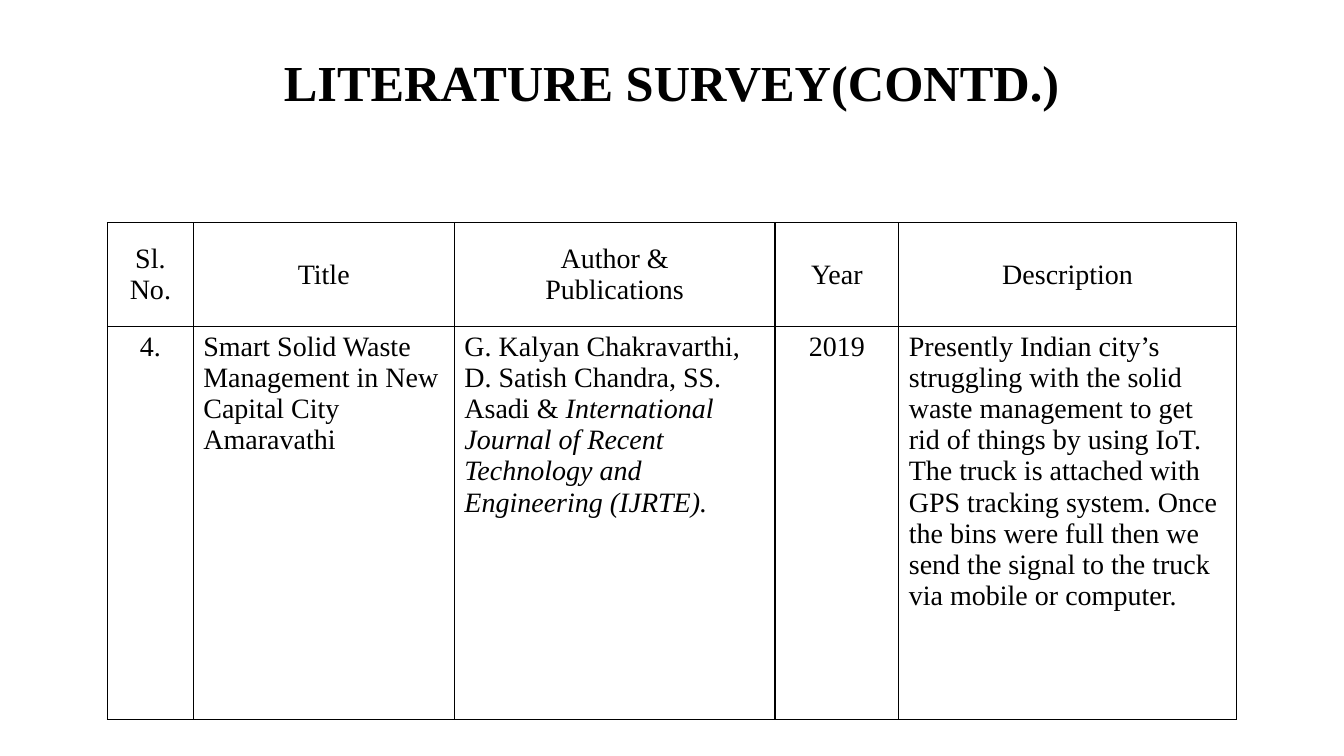
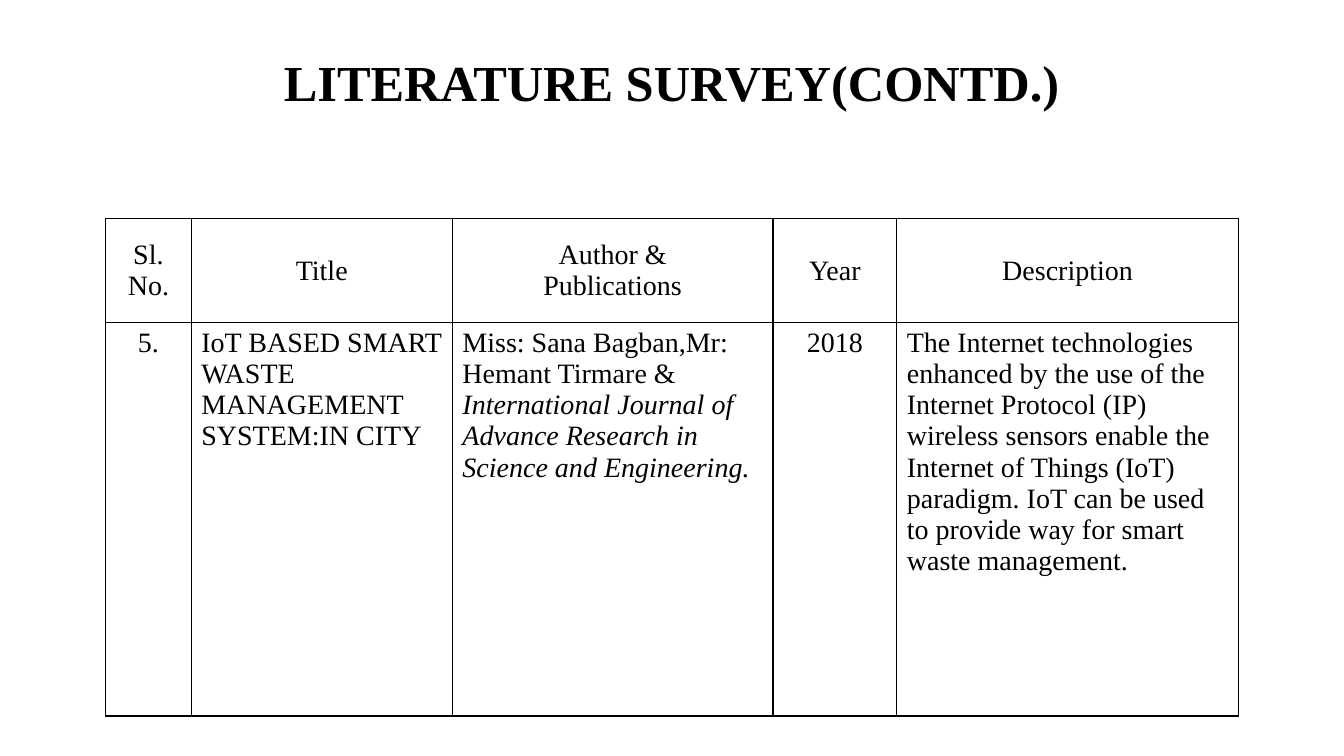
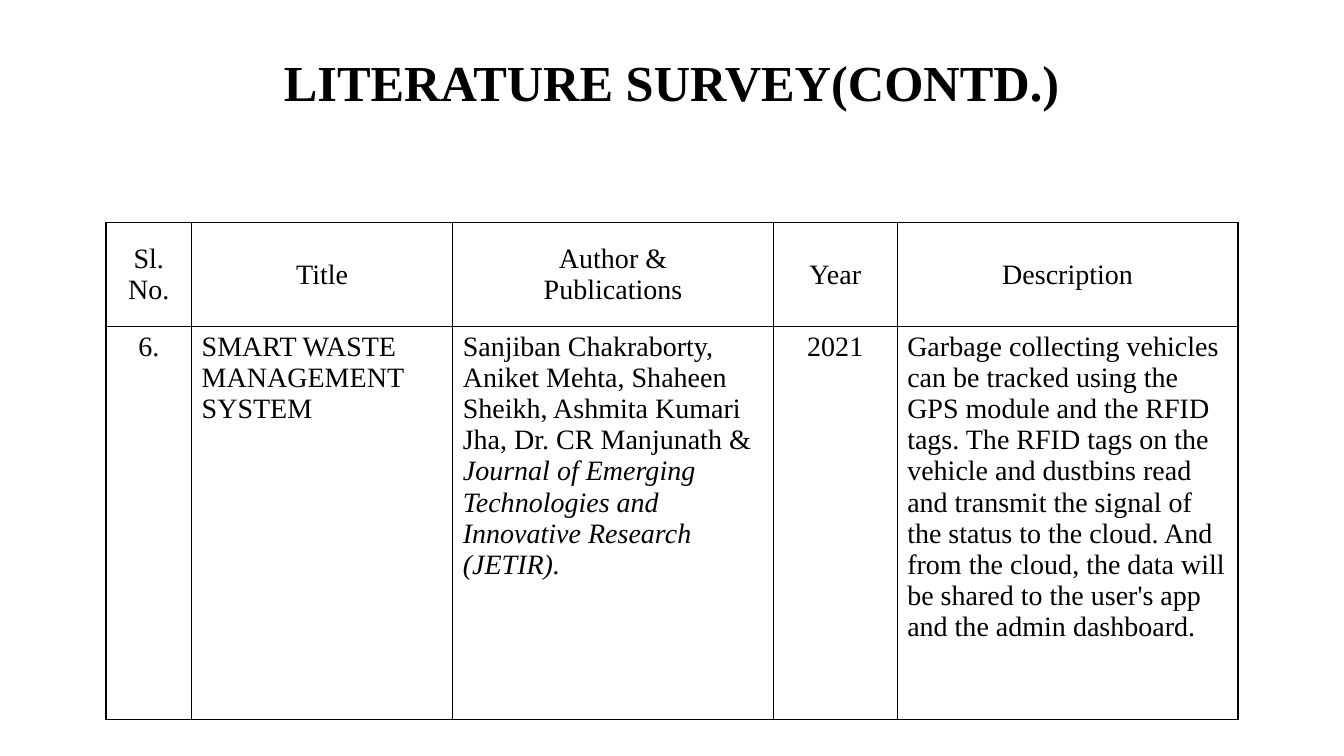
from lxml.etree import SubElement
from pptx import Presentation
from pptx.dml.color import RGBColor
from pptx.enum.text import MSO_ANCHOR, PP_ALIGN
from pptx.oxml.ns import qn
from pptx.util import Cm, Pt

FONT = "Times New Roman"
INK = "000000"
SLIDE_W, SLIDE_H = 33.87, 19.05
TITLE = "LITERATURE SURVEY(CONTD.)"
HEADERS = [["Sl. No."], ["Title"], ["Author &", "Publications"], ["Year"], ["Description"]]
COLUMNS = [2.16, 6.58, 8.08, 3.12]
ROWS = [2.62, 9.91]
CENTRED = (0, 3)

# Each entry is a list of paragraphs; a tuple holds upright text, then italic text.
SURVEYS = [
    dict(top=5.61, last_column=8.51, entry=[
        ["4."],
        ["Smart Solid Waste Management in New ", "Capital City Amaravathi"],
        [("G. Kalyan Chakravarthi, D. Satish Chandra, SS. Asadi & ",
          "International Journal of Recent Technology and Engineering (IJRTE).")],
        ["2019"],
        ["Presently Indian city\u2019s struggling with the solid waste management "
         "to get rid of things by using IoT.",
         "The truck is attached with GPS tracking system. Once the bins were full "
         "then we send the signal to the truck via mobile or computer."],
    ]),
    dict(top=5.51, last_column=8.61, entry=[
        ["5."],
        ["IoT BASED SMART WASTE MANAGEMENT ", "SYSTEM:IN CITY"],
        [("Miss: Sana Bagban,Mr: Hemant Tirmare & ",
          "International Journal of Advance Research in Science and Engineering.")],
        ["2018"],
        ["The Internet technologies enhanced by the use of the Internet Protocol (IP) "
         "wireless sensors enable the Internet of Things (IoT) paradigm. IoT can be "
         "used to provide way for smart waste management."],
    ]),
    dict(top=5.61, last_column=8.59, entry=[
        ["6."],
        ["SMART WASTE MANAGEMENT SYSTEM"],
        ["Sanjiban Chakraborty, Aniket Mehta, Shaheen Sheikh, Ashmita Kumari Jha, "
         "Dr. CR Manjunath & ",
         ("", "Journal of Emerging Technologies and Innovative Research (JETIR).")],
        ["2021"],
        ["Garbage collecting vehicles can be tracked using the GPS module and the RFID "
         "tags. The RFID tags on the vehicle and dustbins read and transmit the signal "
         "of the status to the cloud. And from the cloud, the data will be shared to "
         "the user's app and the admin dashboard."],
    ]),
]


def color(value):
    return RGBColor.from_string(value)


def write(tf, paragraphs, size, align, bold=False):
    for i, parts in enumerate(paragraphs):
        p = tf.paragraphs[0] if i == 0 else tf.add_paragraph()
        p.alignment = align
        p.font.name, p.font.size, p.font.bold = FONT, Pt(size), bold
        p.font.color.rgb = color(INK)
        upright, italic = parts if isinstance(parts, tuple) else (parts, "")
        if upright:
            p.add_run().text = upright
        if italic:
            r = p.add_run()
            r.text = italic
            r.font.italic = True


def add_title(s):
    tf = s.shapes.add_textbox(Cm(4.23), Cm(0.84), Cm(25.4), Cm(2.13)).text_frame
    tf.word_wrap = True
    tf.vertical_anchor = MSO_ANCHOR.BOTTOM
    write(tf, [TITLE], 36, PP_ALIGN.CENTER, bold=True)
    tf.paragraphs[0].line_spacing = 0.9


def outline(cell):
    tcPr = cell._tc.get_or_add_tcPr()
    for side in ("a:lnL", "a:lnR", "a:lnT", "a:lnB"):
        ln = SubElement(tcPr, qn(side), w=str(Pt(1)))
        SubElement(SubElement(ln, qn("a:solidFill")), qn("a:srgbClr"), val=INK)
    cell.fill.background()


def add_survey(s, top, last_column, entry):
    widths = COLUMNS + [last_column]
    total = sum(widths)
    table = s.shapes.add_table(len(ROWS), len(widths), Cm((SLIDE_W - total) / 2),
                               Cm(top), Cm(total), Cm(sum(ROWS))).table
    table.first_row = table.horz_banding = False
    for column, width in zip(table.columns, widths):
        column.width = Cm(width)
    for i, texts in enumerate((HEADERS, entry)):
        table.rows[i].height = Cm(ROWS[i])
        for j, paragraphs in enumerate(texts):
            cell = table.cell(i, j)
            outline(cell)
            cell.vertical_anchor = MSO_ANCHOR.MIDDLE if i == 0 else MSO_ANCHOR.TOP
            centred = i == 0 or j in CENTRED
            write(cell.text_frame, paragraphs, 20,
                  PP_ALIGN.CENTER if centred else PP_ALIGN.LEFT)


prs = Presentation()
prs.slide_width, prs.slide_height = Cm(SLIDE_W), Cm(SLIDE_H)
for survey in SURVEYS:
    s = prs.slides.add_slide(prs.slide_layouts[6])
    add_title(s)
    add_survey(s, **survey)
prs.save("out.pptx")
